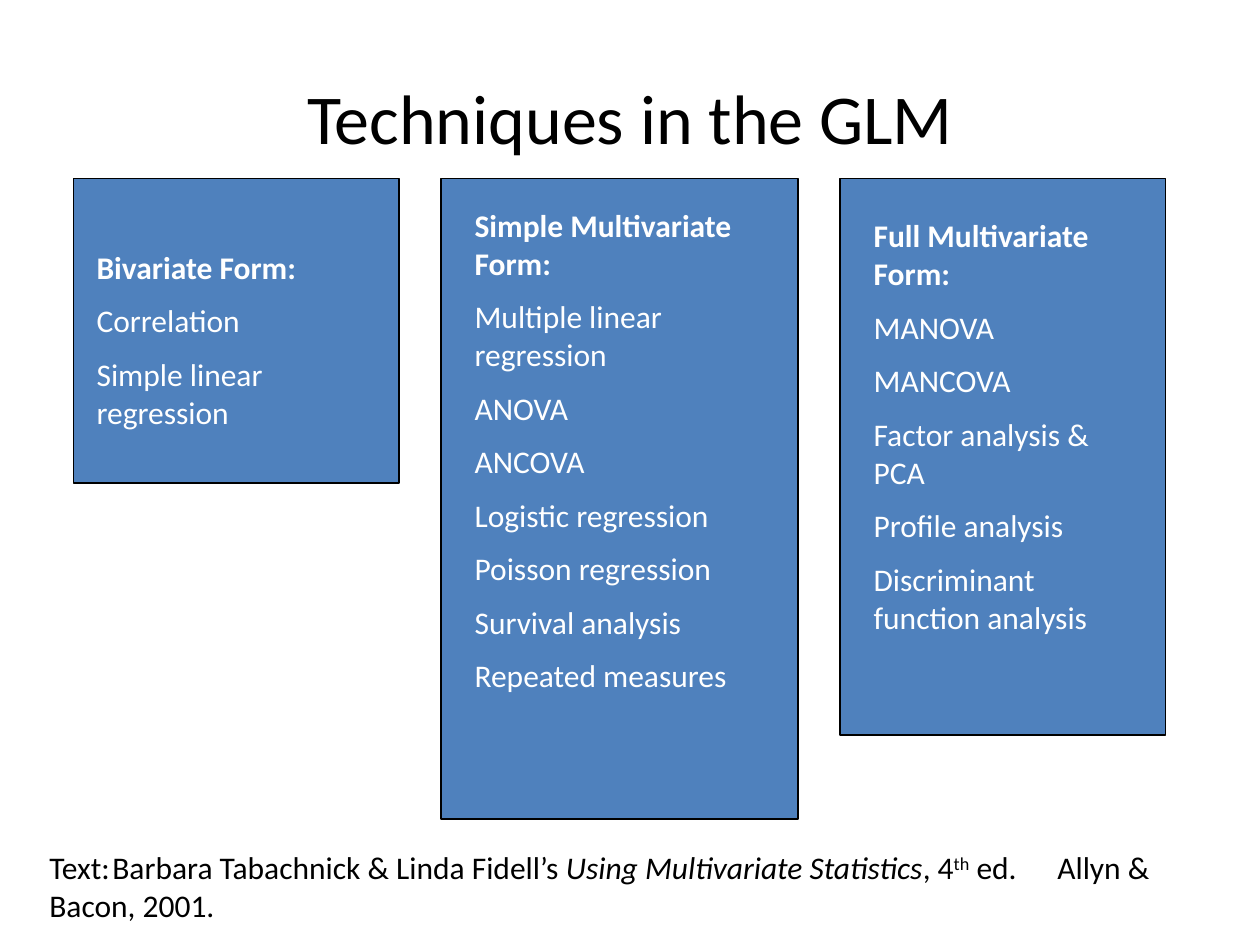
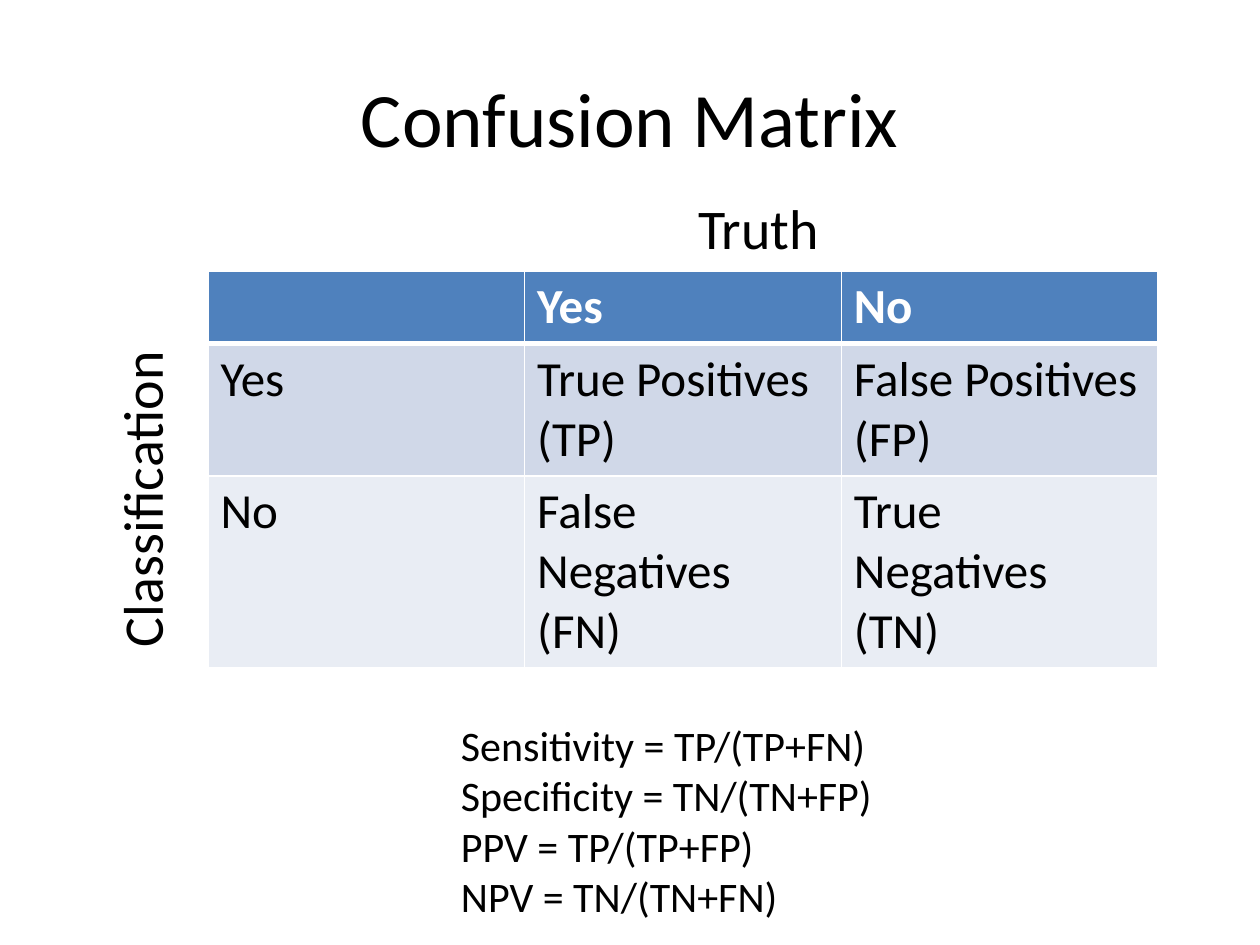
from dataclasses import dataclass
from typing import NamedTuple

from pptx import Presentation
from pptx import util as u
from pptx.dml.color import RGBColor
from pptx.enum import shapes, text
from pptx.oxml.xmlchemy import OxmlElement


@dataclass(frozen=True)
class Theme:
    font: str = "Calibri"
    ink: str = "000000"
    paper: str = "FFFFFF"
    blue: str = "4F81BD"
    bands: tuple = ("D0D8E8", "E9EDF4")
    list_size: int = 18
    note_size: int = 24
    cell_size: int = 28
    label_size: int = 32
    gap: int = 9


class Box(NamedTuple):
    """A place on the grid, in columns and rows."""
    left: float
    top: float
    wide: float
    high: float


class Span(NamedTuple):
    """A piece of text in one style."""
    words: str
    bold: bool = False
    slant: bool = False
    raised: bool = False


class Card(NamedTuple):
    wide: float
    high: float
    inset: float
    drop: float
    list_wide: float
    head: str
    items: list


THEME = Theme()
WIDTH, HEIGHT = u.Inches(10), u.Inches(7.5)
COLS = 120
UNIT = WIDTH / COLS

TITLE = Box(6, 3.6, 108, 15)
CARD_LEFT, CARD_TOP, CARD_GAP = 7, 17, 4
CARDS = [
    Card(31, 29, 1, 6, 29, "Bivariate Form:",
         ["Correlation", "Simple linear regression"]),
    Card(34, 61, 2, 2, 30, "Simple Multivariate Form:",
         ["Multiple linear regression", "ANOVA", "ANCOVA",
          "Logistic regression", "Poisson regression",
          "Survival analysis", "Repeated measures"]),
    Card(31, 53, 2, 3, 27, "Full Multivariate Form:",
         ["MANOVA", "MANCOVA", "Factor analysis & PCA",
          "Profile analysis", "Discriminant function analysis"]),
]
SOURCE = [
    Span("Text:\tBarbara Tabachnick & Linda Fidell’s "),
    Span("Using Multivariate Statistics", slant=True),
    Span(", 4"),
    Span("th", raised=True),
    Span(" ed.\tAllyn & Bacon, 2001."),
]
SOURCE_TABS = (6, 96)

MATRIX = [
    [[], ["Yes"], ["No"]],
    [["Yes"], ["True Positives", "(TP)"], ["False Positives", "(FP)"]],
    [["No"], ["False Negatives", "(FN)"], ["True Negatives", "(TN)"]],
]
MATRIX_BOX = Box(19.8, 25.8, 90.5, 37.7)
MATRIX_ROWS = (6.9, 12.5, 18.3)
RATES = ["Sensitivity = TP/(TP+FN)", "Specificity = TN/(TN+FP)",
         "PPV = TP/(TP+FP)", "NPV = TN/(TN+FN)"]


def size(units: float) -> u.Emu:
    return u.Emu(round(units * UNIT))


def place(shape, box: Box) -> None:
    shape.left, shape.top, shape.width, shape.height = map(size, box)


def add_span(para, span: Span, points: int, color: str) -> None:
    run = para.add_run()
    run.text = span.words
    font = run.font
    font.name, font.size = THEME.font, u.Pt(points)
    font.bold, font.italic = span.bold, span.slant
    font.color.rgb = RGBColor.from_string(color)
    if span.raised:
        font._element.set("baseline", "30000")


def strip(para, tabs: tuple = ()) -> None:
    """Take away the bullet and indent, and set tab stops."""
    props = para._p.get_or_add_pPr()
    props.set("marL", "0")
    props.set("indent", "0")
    props.append(OxmlElement("a:buNone"))
    if tabs:
        stops = OxmlElement("a:tabLst")
        for tab in tabs:
            stop = OxmlElement("a:tab")
            stop.set("pos", str(size(tab)))
            stop.set("algn", "l")
            stops.append(stop)
        props.append(stops)


def write(frame, lines: list, points: int, color: str,
          gap: float = 0, tabs: tuple = ()) -> None:
    """Fill a frame with paragraphs, each a list of spans."""
    frame.word_wrap = True
    frame.auto_size = text.MSO_AUTO_SIZE.NONE
    frame.vertical_anchor = text.MSO_ANCHOR.TOP
    for n, spans in enumerate(lines):
        para = frame.add_paragraph() if n else frame.paragraphs[0]
        strip(para, tabs)
        para.alignment = text.PP_ALIGN.LEFT
        para.space_before = u.Pt(gap if n else 0)
        for span in spans:
            add_span(para, span, points, color)


def start(deck, layout: str, title: str, points: int):
    slide = deck.slides.add_slide(deck.slide_layouts.get_by_name(layout))
    head = slide.shapes.title
    place(head, TITLE)
    frame = head.text_frame
    frame.auto_size = text.MSO_AUTO_SIZE.NONE
    frame.vertical_anchor = text.MSO_ANCHOR.MIDDLE
    para = frame.paragraphs[0]
    para.alignment = text.PP_ALIGN.CENTER
    add_span(para, Span(title), points, THEME.ink)
    return slide


def add_panel(slide, box: Box, depth: int) -> None:
    """Draw a card's panel behind the lists."""
    panel = slide.shapes.add_shape(
        shapes.MSO_SHAPE.RECTANGLE, *map(size, box))
    panel.shadow.inherit = False
    panel.fill.solid()
    panel.fill.fore_color.rgb = RGBColor.from_string(THEME.blue)
    panel.line.color.rgb = RGBColor.from_string(THEME.ink)
    panel.line.width = u.Pt(0.75)
    slide.shapes._spTree.insert(2 + depth, panel._element)


def add_label(slide, box: Box, words: str, turn: bool = False) -> None:
    label = slide.shapes.add_textbox(*map(size, box))
    write(label.text_frame, [[Span(words)]], THEME.label_size, THEME.ink)
    if turn:
        label.text_frame._txBody.bodyPr.set("vert", "vert270")


def edge(cell, last: float) -> None:
    """Rule a cell in white, its bottom edge as thick as given."""
    props = cell._tc.get_or_add_tcPr()
    sides = {"lnL": 1, "lnR": 1, "lnT": 1, "lnB": last}
    for n, (side, points) in enumerate(sides.items()):
        line = OxmlElement(f"a:{side}")
        line.set("w", str(u.Pt(points)))
        fill = OxmlElement("a:solidFill")
        tint = OxmlElement("a:srgbClr")
        tint.set("val", THEME.paper)
        fill.append(tint)
        line.append(fill)
        props.insert(n, line)


def add_matrix(slide) -> None:
    table = slide.shapes.add_table(
        len(MATRIX), len(MATRIX[0]), *map(size, MATRIX_BOX)).table
    for row, high in zip(table.rows, MATRIX_ROWS):
        row.height = size(high)
    for r, row in enumerate(MATRIX):
        top = r == 0
        for c, lines in enumerate(row):
            cell = table.cell(r, c)
            cell.fill.solid()
            cell.fill.fore_color.rgb = RGBColor.from_string(
                THEME.blue if top else THEME.bands[r - 1])
            edge(cell, 3 if top or r == 0 else 1)
            for n, words in enumerate(lines):
                frame = cell.text_frame
                para = frame.add_paragraph() if n else frame.paragraphs[0]
                add_span(para, Span(words, bold=top), THEME.cell_size,
                         THEME.paper if top else THEME.ink)


def draw_forms(deck) -> None:
    slide = start(deck, "Comparison", "Techniques in the GLM", 40)
    *lists, source = list(slide.placeholders)[1:5]
    left = CARD_LEFT
    for n, (card, body) in enumerate(zip(CARDS, lists)):
        add_panel(slide, Box(left, CARD_TOP, card.wide, card.high), n)
        place(body, Box(left + card.inset, CARD_TOP + card.drop,
                        card.list_wide, card.high - card.drop - 1))
        lines = [[Span(card.head, bold=True)]]
        lines += [[Span(item)] for item in card.items]
        write(body.text_frame, lines, THEME.list_size, THEME.paper, THEME.gap)
        left += card.wide + CARD_GAP
    place(source, Box(3.5, 80.2, 113, 8.4))
    write(source.text_frame, [SOURCE], THEME.list_size, THEME.ink,
          tabs=SOURCE_TABS)


def draw_matrix(deck) -> None:
    slide = start(deck, "Title and Content", "Confusion Matrix", 44)
    add_matrix(slide)
    add_label(slide, Box(65.3, 17.8, 23, 7.7), "Truth")
    add_label(slide, Box(9.6, 29.3, 8.9, 33.5), "Classification", turn=True)
    rates = slide.placeholders[1]
    place(rates, Box(42.7, 67.9, 45.6, 20.6))
    write(rates.text_frame, [[Span(rate)] for rate in RATES],
          THEME.note_size, THEME.ink)


def main() -> None:
    deck = Presentation()
    deck.slide_width, deck.slide_height = WIDTH, HEIGHT
    draw_forms(deck)
    draw_matrix(deck)
    deck.save("out.pptx")


if __name__ == "__main__":
    main()
